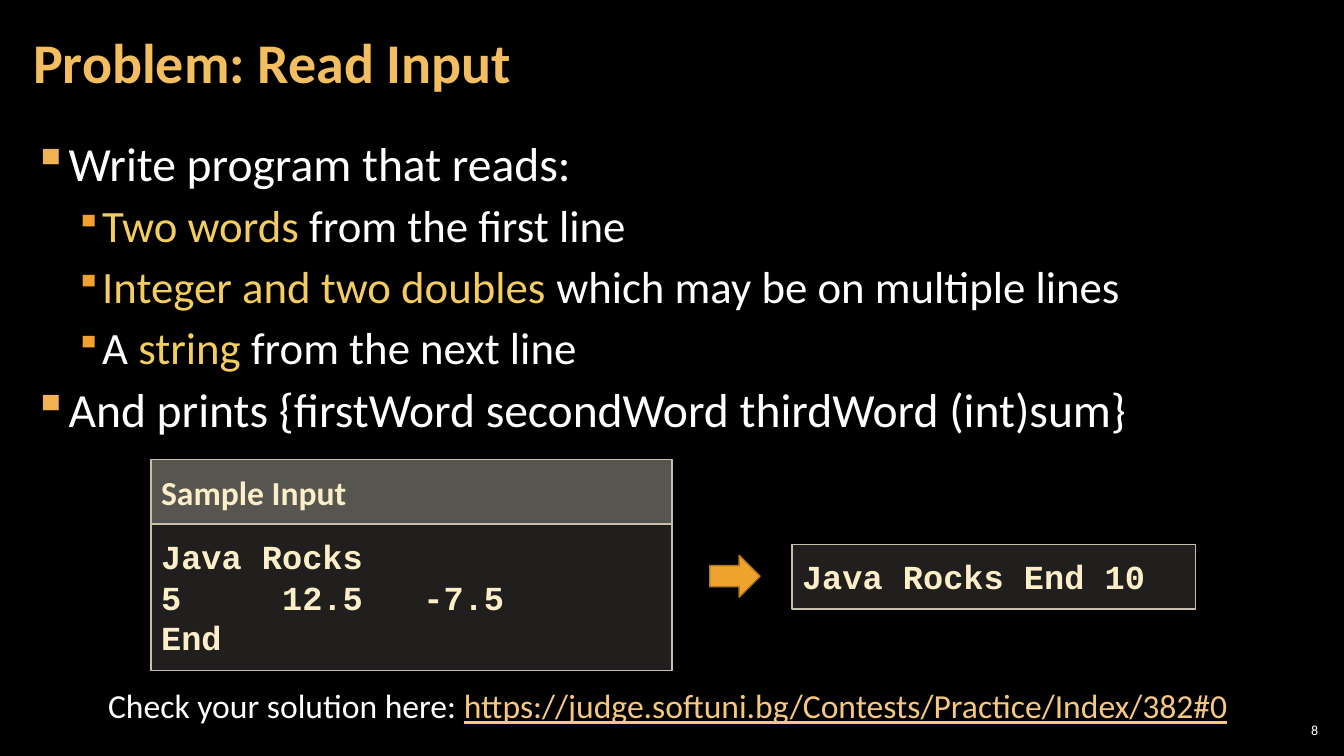
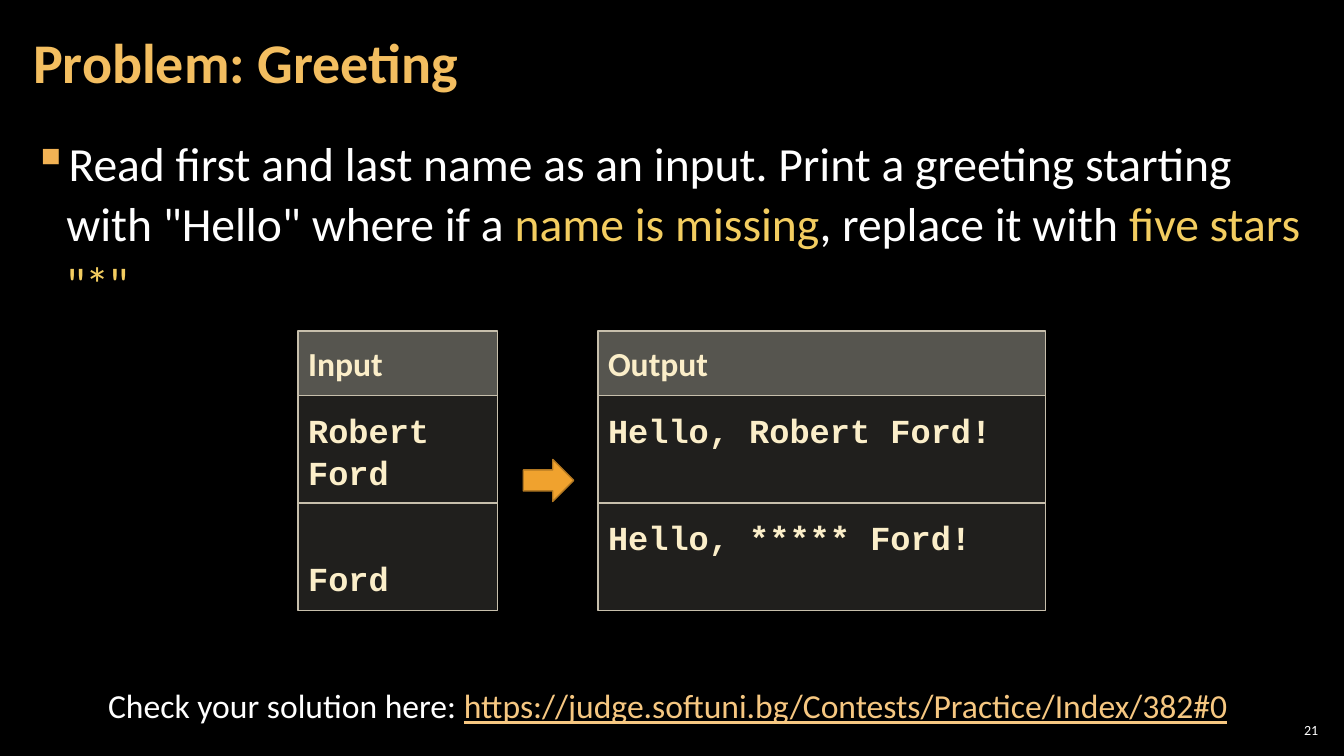
import pptx
import pptx.util
import pptx.dml.color
import pptx.enum.shapes
import pptx.enum.text
import pptx.oxml
import pptx.oxml.ns

ALIGN = pptx.enum.text.PP_ALIGN
ANCHOR = pptx.enum.text.MSO_ANCHOR
SHAPE = pptx.enum.shapes.MSO_SHAPE
COLS, ROWS = 160, 90


def rgb(code):
    return pptx.dml.color.RGBColor.from_string(code)


def add_xml(parent, tag, **attrs):
    child = pptx.oxml.parse_xml(f"<a:{tag} {pptx.oxml.ns.nsdecls('a')}/>")
    for name, value in attrs.items():
        child.set(name, value)
    parent.append(child)
    return child


class Deck:
    TEXT, MARK, LINK = "FFFFFF", "F3CD60", "F6C781"
    ARROW, ARROW_EDGE = "F0A22E", "B27822"
    PANEL, PANEL_EDGE = "D9D5C7", "C7BFAC"
    TITLE = dict(size=40, name="Calibri", bold=True, color="F3BE60")
    NOTE = dict(size=24, name="Calibri", color=TEXT)
    NUMBER = dict(size=10, name="Calibri", color=TEXT)
    HEAD = dict(size=24, name="Calibri", bold=True, color="FBEEC9")
    CODE = dict(HEAD, name="Courier New")
    LEVELS = [
        dict(size=34, indent=0.33, hang=0.33, bullet="F2B254", scale="100000"),
        dict(size=32, indent=0.67, hang=0.25, bullet=ARROW, scale="80000"),
    ]
    HEAD_ROWS = 7.7

    def __init__(self):
        self.prs = pptx.Presentation()
        self.prs.slide_width = pptx.util.Inches(13.33)
        self.prs.slide_height = pptx.util.Inches(7.5)

    def box(self, col, row, cols, rows):
        dx, dy = self.prs.slide_width / COLS, self.prs.slide_height / ROWS
        return [round(v) for v in (col * dx, row * dy, cols * dx, rows * dy)]

    def frame(self, sp, dx, dy, anchor=ANCHOR.TOP):
        dx, dy = pptx.util.Inches(dx), pptx.util.Inches(dy)
        style = dict(word_wrap=True, vertical_anchor=anchor, margin_left=dx,
                     margin_right=dx, margin_top=dy, margin_bottom=dy)
        for name, value in style.items():
            setattr(sp.text_frame, name, value)
        return sp.text_frame

    def text(self, at, dx=0.1, dy=0.05, anchor=ANCHOR.TOP):
        sp = self.s.shapes.add_textbox(*self.box(*at))
        return self.frame(sp, dx, dy, anchor)

    def paragraph(self, tf, i, **style):
        p = tf.add_paragraph() if i else tf.paragraphs[0]
        for name, value in style.items():
            setattr(p, name, value)
        return p

    def run(self, p, text, style, **changes):
        r = p.add_run()
        r.text = text
        for name, value in dict(style, **changes).items():
            if name == "color":
                r.font.color.rgb = rgb(value)
            else:
                setattr(r.font, name, pptx.util.Pt(value) if name == "size" else value)

    def slide(self, title, number):
        self.s = self.prs.slides.add_slide(self.prs.slide_layouts[6])
        self.s.background.fill.solid()
        self.s.background.fill.fore_color.rgb = rgb("000000")
        tf = self.text((2.5, 0.5, 125.6, 14.5), 0.12, 0.04, ANCHOR.MIDDLE)
        self.run(self.paragraph(tf, 0, line_spacing=0.9), title, self.TITLE)
        tf = self.text((151.8, 85.7, 5.6, 2.5), 0.04, 0.04, ANCHOR.MIDDLE)
        self.run(self.paragraph(tf, 0, alignment=ALIGN.RIGHT), str(number), self.NUMBER)

    def bullets(self, items):
        tf = self.text((2.5, 15.1, 155, 73), 0.12, 0.04)
        for i, (level, *parts) in enumerate(items):
            look = self.LEVELS[level]
            p = self.paragraph(tf, i, level=level, space_after=pptx.util.Pt(5),
                               line_spacing=1.0 if i else 1.05)
            pPr = p._p.get_or_add_pPr()
            pPr.set("marL", str(pptx.util.Inches(look["indent"])))
            pPr.set("indent", str(-pptx.util.Inches(look["hang"])))
            add_xml(add_xml(pPr, "buClr"), "srgbClr", val=look["bullet"])
            add_xml(pPr, "buSzPct", val=look["scale"])
            add_xml(pPr, "buChar", char="▪")
            for j, part in enumerate(parts):
                self.run(p, part, dict(size=look["size"], name="Calibri"),
                         color=self.MARK if j % 2 else self.TEXT)

    def note(self, label, address):
        tf = self.text((10, 81, 139, 6))
        p = self.paragraph(tf, 0, alignment=ALIGN.CENTER)
        self.run(p, label, self.NOTE)
        self.run(p, address, self.NOTE, color=self.LINK, underline=True)

    def shape(self, kind, at, fill, edge):
        sp = self.s.shapes.add_shape(kind, *self.box(*at))
        sp.shadow.inherit = False
        sp.fill.solid()
        sp.fill.fore_color.rgb = rgb(fill)
        sp.line.color.rgb = rgb(edge)
        sp.line.width = pptx.util.Pt(1)
        return sp

    def arrow(self, col, row):
        self.shape(SHAPE.RIGHT_ARROW, (col, row, 6, 5), self.ARROW, self.ARROW_EDGE)

    def panel(self, at, lines, style=CODE, opacity=15, spacing=1.0, anchor=ANCHOR.TOP):
        sp = self.shape(SHAPE.RECTANGLE, at, self.PANEL, self.PANEL_EDGE)
        color = sp.element.spPr.find(pptx.oxml.ns.qn("a:solidFill"))[0]
        add_xml(color, "alpha", val=str(opacity * 1000))
        tf = self.frame(sp, 0.1, 0.12, anchor)
        for i, line in enumerate(lines):
            p = self.paragraph(tf, i, alignment=ALIGN.LEFT, line_spacing=spacing)
            self.run(p, line, style)

    def sample(self, col, row, cols, rows, head, *cells, **style):
        self.panel((col, row, cols, self.HEAD_ROWS), [head], self.HEAD, 40)
        for i, (lines, anchor) in enumerate(cells):
            top = row + self.HEAD_ROWS + i * rows
            self.panel((col, top, cols, rows), lines, anchor=anchor, **style)


CHECK = ("Check your solution here: ", "https://judge.softuni.bg/Contests/Practice/Index/382#0")

deck = Deck()

deck.slide("Problem: Read Input", 8)
deck.bullets([
    (0, "Write program that reads:"),
    (1, "", "Two words ", "from the first line"),
    (1, "", "Integer and two doubles ", "which may be on multiple lines"),
    (1, "A ", "string", " from the next line"),
    (0, "And prints {firstWord secondWord thirdWord (int)sum}"),
])
deck.note(*CHECK)
deck.sample(18, 54.7, 62, 17.4, "Sample Input",
            (["Java Rocks", "5     12.5   -7.5", "End"], ANCHOR.TOP))
deck.arrow(84.5, 66.1)
deck.panel((94.3, 64.8, 48, deck.HEAD_ROWS), ["Java Rocks End 10"])

deck.slide("Problem: Greeting", 21)
deck.bullets([
    (0, 'Read first and last name as an input. Print a greeting starting with "Hello" where if a ',
     "name is missing", ", replace it with ", 'five stars "*"'),
])
deck.note(*CHECK)
deck.sample(35.5, 39.4, 23.7, 12.8, "Input", (["Robert", "Ford"], ANCHOR.TOP),
            (["Ford"], ANCHOR.BOTTOM), spacing=1.05)
deck.arrow(62.3, 54.7)
deck.sample(71.2, 39.4, 53.3, 12.8, "Output", (["Hello, Robert Ford!"], ANCHOR.TOP),
            (["Hello, ***** Ford!"], ANCHOR.TOP), spacing=1.05)

deck.prs.save("out.pptx")
